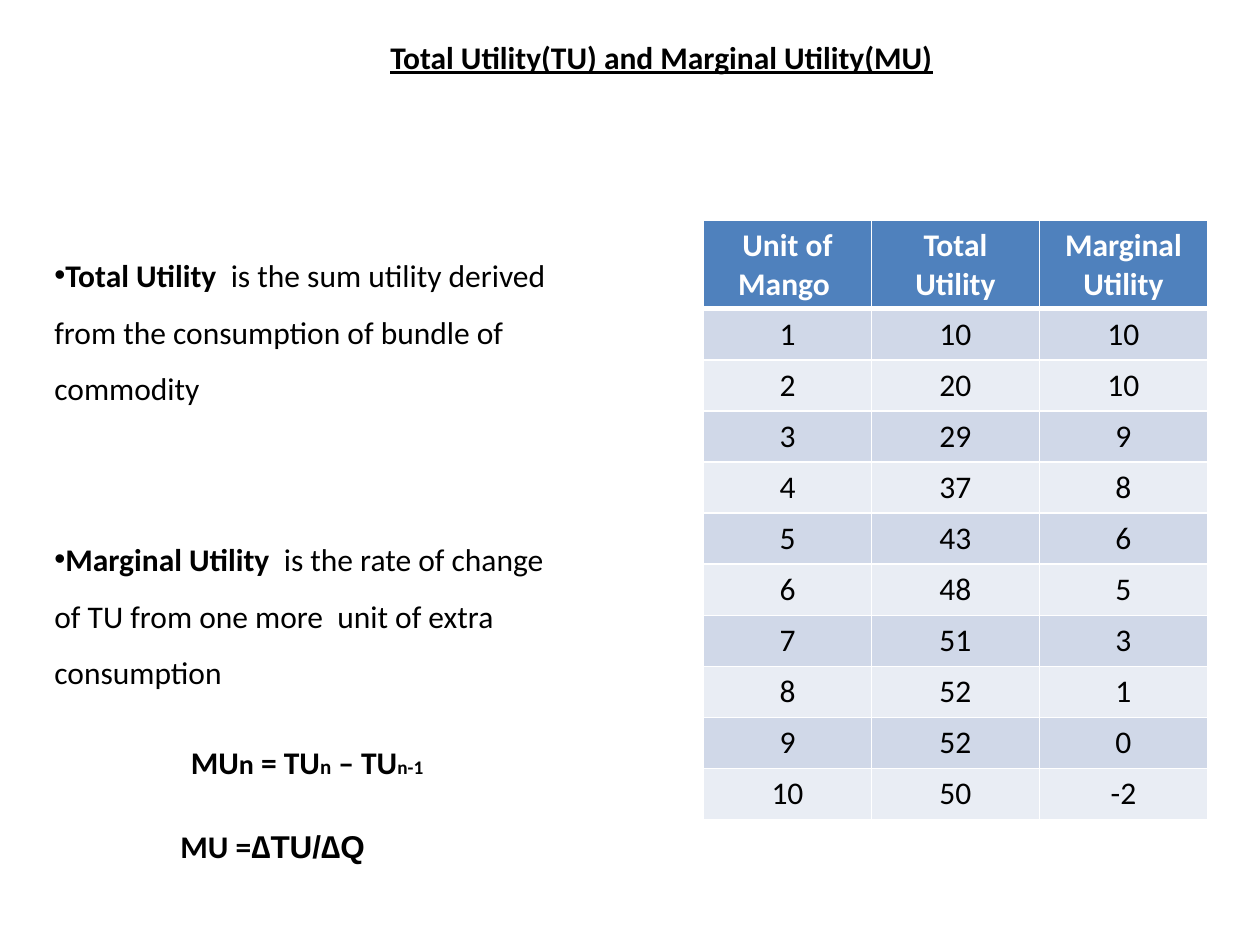
from lxml import etree
from pptx import Presentation
from pptx.dml.color import RGBColor
from pptx.enum.text import MSO_ANCHOR, PP_ALIGN
from pptx.oxml.ns import qn
from pptx.util import Pt

COLORS = {"text": "000000", "white": "FFFFFF", "header": "4F81BD",
          "odd": "D0D8E8", "even": "E9EDF4"}


def add_text_box(left, top, width, height):
    """Add an empty wrapping text box and return its text frame."""
    frame = slide.shapes.add_textbox(Pt(left), Pt(top), Pt(width), Pt(height)).text_frame
    frame.word_wrap = True
    return frame


def add_run(paragraph, text, size=18, bold=True, color="text", font="Calibri"):
    """Append a styled run to a paragraph and return it."""
    run = paragraph.add_run()
    run.text = text
    run.font.size = Pt(size)
    run.font.bold = bold
    run.font.name = font
    run.font.color.rgb = RGBColor.from_string(COLORS[color])
    return run


prs = Presentation()
prs.slide_width, prs.slide_height = Pt(720), Pt(540)
slide = prs.slides.add_slide(prs.slide_layouts[6])

# Title
title = add_text_box(0, 18, 720, 29).paragraphs[0]
title.alignment = PP_ALIGN.CENTER
title_props = title._p.get_or_add_pPr()
title_props.set("marL", str(Pt(67.5)))
title_props.set("indent", str(Pt(-31.5)))
add_run(title, "Total Utility(TU) and Marginal Utility(MU)").font.underline = True

# Utility table
rows = [("Unit of Mango ", "Total Utility", "Marginal Utility")]
total_utility = [10, 20, 29, 37, 43, 48, 51, 52, 52, 50]
marginal_utility = [10, 10, 9, 8, 6, 5, 3, 1, 0, -2]
rows += zip(range(1, 11), total_utility, marginal_utility)

table = slide.shapes.add_table(len(rows), 3, Pt(402), Pt(126), Pt(288), Pt(342)).table
for column in table.columns:
    column.width = Pt(96)
for r, values in enumerate(rows):
    is_header = r == 0
    table.rows[r].height = Pt(50 if is_header else 29.2)
    fill = "header" if is_header else "odd" if r % 2 else "even"
    for c, value in enumerate(values):
        cell = table.cell(r, c)
        cell.vertical_anchor = MSO_ANCHOR.TOP
        paragraph = cell.text_frame.paragraphs[0]
        paragraph.alignment = PP_ALIGN.CENTER
        add_run(paragraph, str(value), bold=is_header,
                color="white" if is_header else "text")
        cell_props = cell._tc.get_or_add_tcPr()
        for side in ("lnL", "lnR", "lnT", "lnB"):
            thick = (is_header and side == "lnB") or (r == 1 and side == "lnT")
            border = etree.SubElement(cell_props, qn("a:" + side), w=str(Pt(3 if thick else 1)))
            solid = etree.SubElement(border, qn("a:solidFill"))
            etree.SubElement(solid, qn("a:srgbClr"), val=COLORS["white"])
        cell.fill.solid()
        cell.fill.fore_color.rgb = RGBColor.from_string(COLORS[fill])

# Definitions
definitions = [
    ("Total Utility ",
     " is the sum utility derived from the consumption of bundle of commodity"),
    ("Marginal Utility  ",
     "is the rate of change of TU from one more  unit of extra consumption "),
]
frame = add_text_box(24, 132, 312, 269)
for i, (term, meaning) in enumerate(definitions):
    paragraph = frame.add_paragraph() if i else frame.paragraphs[0]
    paragraph.line_spacing = 1.5
    paragraph.space_before = Pt(65 * i)
    bullet_props = paragraph._p.get_or_add_pPr()
    etree.SubElement(bullet_props, qn("a:buFont"), typeface="Arial")
    etree.SubElement(bullet_props, qn("a:buChar"), char="•")
    add_run(paragraph, term)
    add_run(paragraph, meaning, bold=False)

# Formulas
difference = add_text_box(102, 421, 174, 29).paragraphs[0]
for text, size in [("MU", 18), ("n", 16), (" = TU", 18), ("n", 12), (" – TU", 18), ("n-1", 11)]:
    add_run(difference, text, size)

ratio = add_text_box(96, 469, 174, 29).paragraphs[0]
add_run(ratio, "MU =")
add_run(ratio, "∆TU/∆Q", font="Arial")

prs.save("out.pptx")
